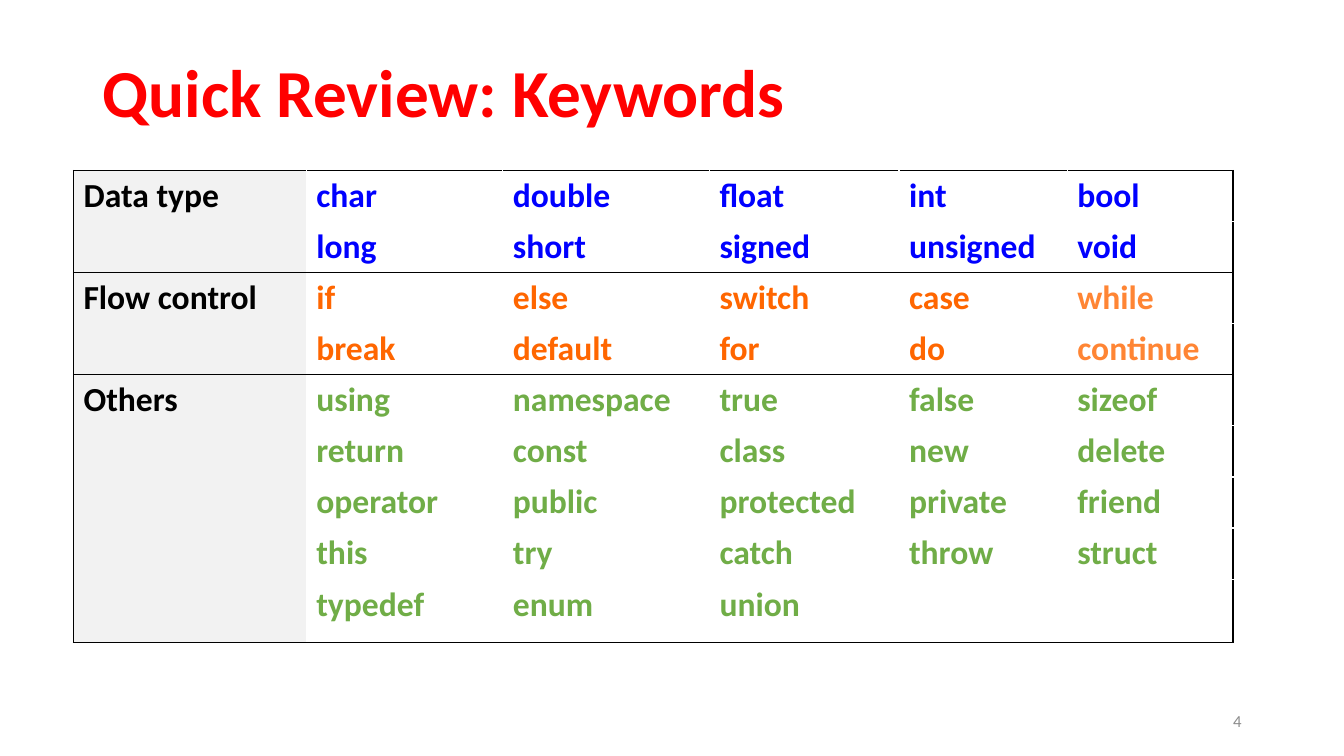
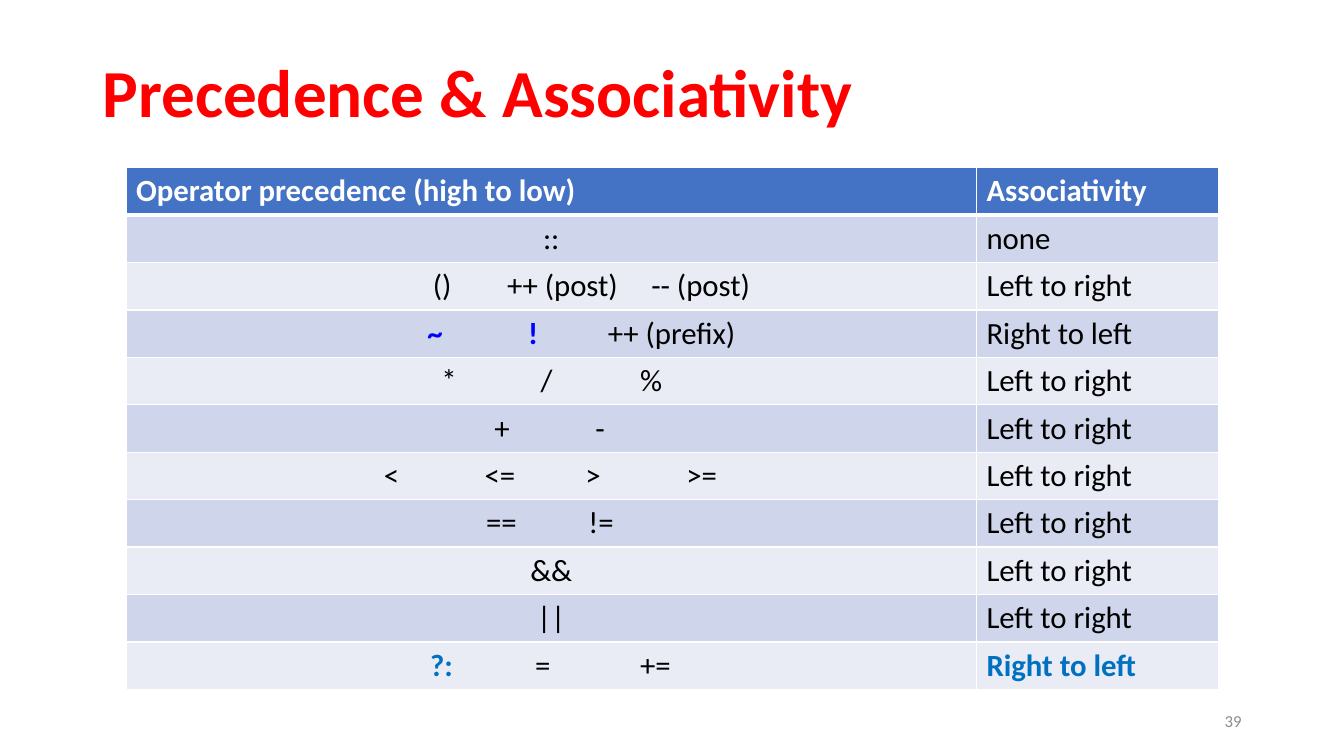
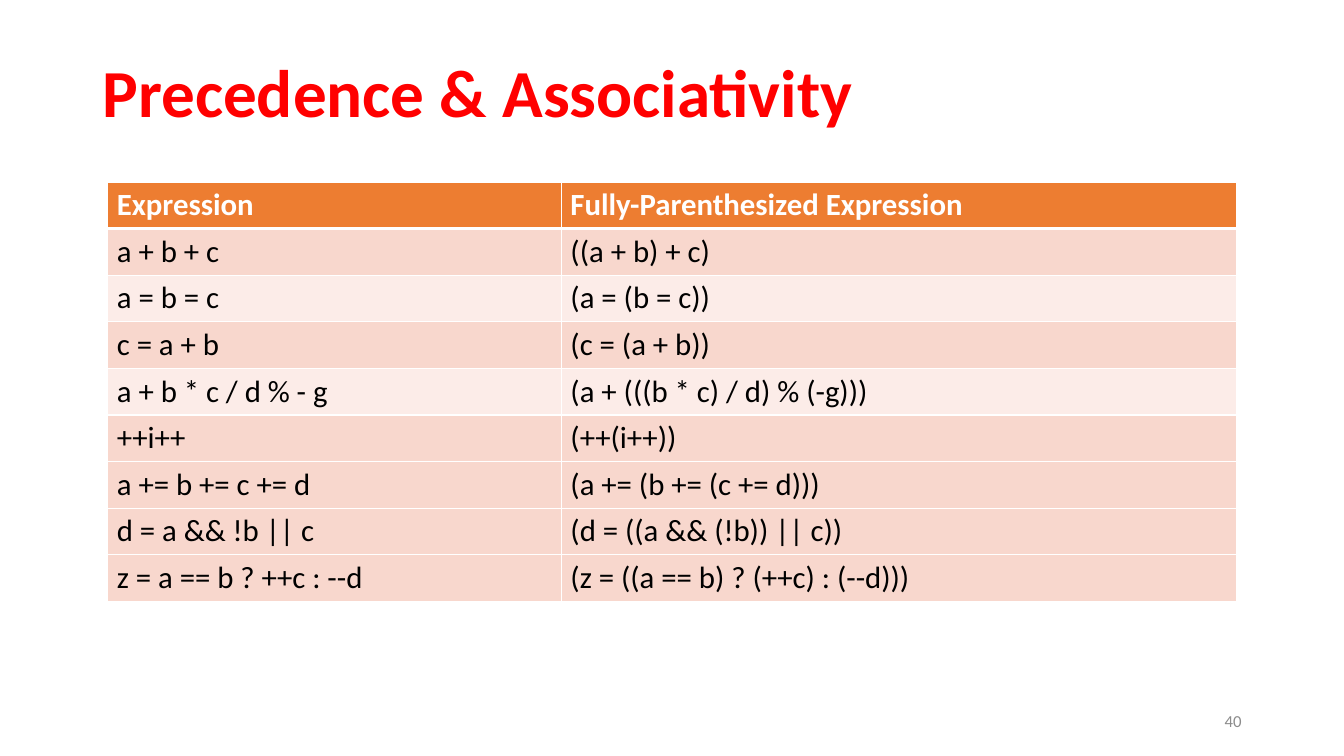
"""Build three slides on keywords, operator precedence and associativity."""
from lxml import etree
from pptx import Presentation
from pptx.dml.color import RGBColor
from pptx.enum.text import MSO_ANCHOR, PP_ALIGN
from pptx.oxml.ns import qn
from pptx.util import Pt

LEFT, MID, RIGHT = PP_ALIGN.LEFT, PP_ALIGN.CENTER, PP_ALIGN.RIGHT
CENTRE = MSO_ANCHOR.MIDDLE
FONT = "Calibri"
RED = RGBColor(0xFF, 0x00, 0x00)
BLACK = RGBColor(0x00, 0x00, 0x00)
WHITE = RGBColor(0xFF, 0xFF, 0xFF)
GREY = RGBColor(0x8C, 0x8C, 0x8C)
PALE = RGBColor(0xF2, 0xF2, 0xF2)
BLUE = RGBColor(0x00, 0x00, 0xFF)
SKY = RGBColor(0x00, 0x70, 0xC0)
FLAME = RGBColor(0xFF, 0x66, 0x00)
PEACH = RGBColor(0xFF, 0x85, 0x34)
GREEN = RGBColor(0x70, 0xAD, 0x47)
NAVY = RGBColor(0x44, 0x72, 0xC4)
NAVY_MID = RGBColor(0xCF, 0xD5, 0xEA)
NAVY_LOW = RGBColor(0xE9, 0xEB, 0xF5)
RUST = RGBColor(0xED, 0x7D, 0x31)
RUST_MID = RGBColor(0xF8, 0xD7, 0xCD)
RUST_LOW = RGBColor(0xFC, 0xEC, 0xE8)


def put(para, bits, size, tint, bold=False):
    """Add each bit as a run in one style."""
    for bit in bits:
        run = para.add_run()
        run.text = bit
        font = run.font
        font.name, font.size, font.bold = FONT, Pt(size), bold
        font.color.rgb = tint


def edge(cell, sides, tint):
    """Draw cell borders, given as side and width in the order L, R, T, B."""
    props = cell._tc.get_or_add_tcPr()
    for side, wide in sides:
        line = etree.SubElement(props, qn("a:ln" + side), w=str(Pt(wide)))
        fill = etree.SubElement(line, qn("a:solidFill"))
        etree.SubElement(fill, qn("a:srgbClr"), val=str(tint))


deck = Presentation()
deck.slide_width, deck.slide_height = Pt(960), Pt(540)

slides = []
for head, num in [("Quick Review: Keywords", "4"),
                  ("Precedence & Associativity", "39"),
                  ("Precedence & Associativity", "40")]:
    slide = deck.slides.add_slide(deck.slide_layouts[5])
    title = slide.shapes.title
    title.left, title.top, title.width, title.height = Pt(66), Pt(28.75), Pt(828), Pt(79.5)
    title.text_frame.vertical_anchor = CENTRE
    para = title.text_frame.paragraphs[0]
    para.alignment, para.line_spacing = LEFT, 0.9
    put(para, [head], 48, RED, True)
    foot = slide.shapes.add_textbox(Pt(678), Pt(500.5), Pt(216), Pt(28.75)).text_frame
    foot.word_wrap, foot.vertical_anchor = True, CENTRE
    foot.paragraphs[0].alignment = RIGHT
    put(foot.paragraphs[0], [num], 12, GREY)
    slides.append(slide)

groups = [
    ("Data type", BLUE, ["char double float int bool",
                         "long short signed unsigned void"]),
    ("Flow control", FLAME, ["if else switch case while",
                             "break default for do continue"]),
    ("Others", GREEN, ["using namespace true false sizeof",
                       "return const class new delete",
                       "operator public protected private friend",
                       "this try catch throw struct",
                       "typedef enum union"]),
]
cols = [166.3, 140.4, 147.6, 135.4, 120.2, 118.4]
grid = slides[0].shapes.add_table(9, 6, Pt(52.5), Pt(121.8), Pt(sum(cols)), Pt(337)).table
grid.first_row = grid.horz_banding = False
for col, wide in zip(grid.columns, cols):
    col.width = Pt(wide)
for row in grid.rows:
    row.height = Pt(36.5)
grid.rows[8].height = Pt(45)

top = 0
for name, tint, lines in groups:
    last = top + len(lines) - 1
    for r, line in enumerate(lines, top):
        words = [name if r == top else ""] + line.split()
        for c in range(6):
            cell = grid.cell(r, c)
            tests = [("L", c == 0), ("R", c == 5),
                     ("T", r == top), ("B", r == last or c == 0)]
            edge(cell, [(side, 1) for side, on in tests if on], BLACK)
            if c == 0:
                cell.fill.solid()
                cell.fill.fore_color.rgb = PALE
            else:
                cell.fill.background()
            if c < len(words) and words[c]:
                hue = BLACK if c == 0 else PEACH if tint == FLAME and c == 5 else tint
                put(cell.text_frame.paragraphs[0], [words[c]], 24, hue, True)
    grid.cell(top, 0).merge(grid.cell(last, 0))
    top = last + 1

ranks = [
    ("Operator precedence (high to low)", "Associativity"),
    ("::", "none"),
    ("()|++ (post)|-- (post)", "Left to right"),
    ("~|!|++ (prefix)", "Right to left"),
    ("*|/|%", "Left to right"),
    ("+|-", "Left to right"),
    ("<|<=|>|>=", "Left to right"),
    ("==|!=", "Left to right"),
    ("&&", "Left to right"),
    ("||", "Left to right"),
    ("?:|=|+=", "Right to left"),
]
stops = {2: [212, 265, 368], 3: [208, 280, 337], 4: [218, 289, 360], 5: [256, 328],
         6: [177, 249, 321, 393], 7: [250, 323], 10: [210, 285, 360]}
forms = [
    ("Expression", "Fully-Parenthesized Expression"),
    ("a + b + c", "((a + b) + c)"),
    ("a = b = c", "(a = (b = c))"),
    ("c = a + b", "(c = (a + b))"),
    ("a + b * c / d % - g", "(a + (((b * c) / d) % (-g)))"),
    ("++i++", "(++(i++))"),
    ("a += b += c += d", "(a += (b += (c += d)))"),
    ("d = a && !b || c", "(d = ((a && (!b)) || c))"),
    ("z = a == b ? ++c : --d", "(z = ((a == b) ? (++c) : (--d)))"),
]
plans = [
    (slides[1], ranks, 90, 119.75, [607.5, 172.8], 33.9, 7.2, 3.6,
     NAVY, NAVY_MID, NAVY_LOW, {2, 4, 6, 8, 10}, stops),
    (slides[2], forms, 77, 130, [324, 482], 33.3, 6.5, 3.2,
     RUST, RUST_MID, RUST_LOW, {2, 4}, {}),
]
tables = []
for slide, rows, x, y, cols, high, side, rim, dark, mid, low, light, tabs in plans:
    grid = slide.shapes.add_table(len(rows), 2, Pt(x), Pt(y), Pt(sum(cols)),
                                  Pt(high * len(rows))).table
    tables.append(grid)
    for col, wide in zip(grid.columns, cols):
        col.width = Pt(wide)
    for r, texts in enumerate(rows):
        grid.rows[r].height = Pt(high)
        for c, text in enumerate(texts):
            cell = grid.cell(r, c)
            cell.margin_left = cell.margin_right = Pt(side)
            cell.margin_top = cell.margin_bottom = Pt(rim)
            edge(cell, [("L", 1), ("R", 1), ("T", 3 if r == 1 else 1),
                        ("B", 3 if r == 0 else 1)], WHITE)
            cell.fill.solid()
            cell.fill.fore_color.rgb = dark if r == 0 else low if r in light else mid
            para = cell.text_frame.paragraphs[0]
            bits = [text]
            if c == 0 and r in tabs:
                bits = ["\t" + bit for bit in text.split("|")]
                marks = etree.SubElement(para._p.get_or_add_pPr(), qn("a:tabLst"))
                for stop in tabs[r]:
                    etree.SubElement(marks, qn("a:tab"), pos=str(Pt(stop)), algn="l")
            elif c == 0 and r and tabs:
                para.alignment = MID
            put(para, bits, 22, BLACK if r else WHITE, r == 0)

for r, c, i, tint in [(3, 0, 0, BLUE), (3, 0, 1, BLUE), (10, 0, 0, SKY), (10, 1, 0, SKY)]:
    font = tables[0].cell(r, c).text_frame.paragraphs[0].runs[i].font
    font.bold, font.color.rgb = True, tint

deck.save("out.pptx")
